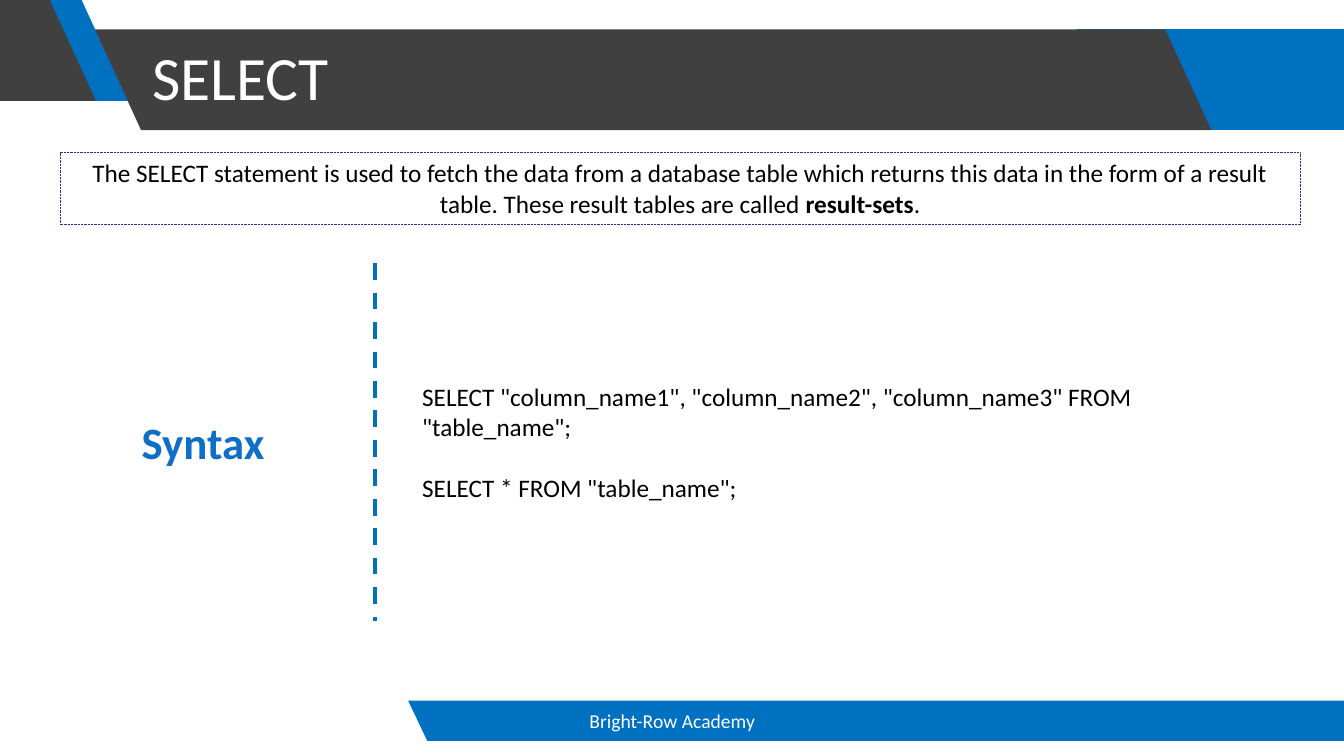
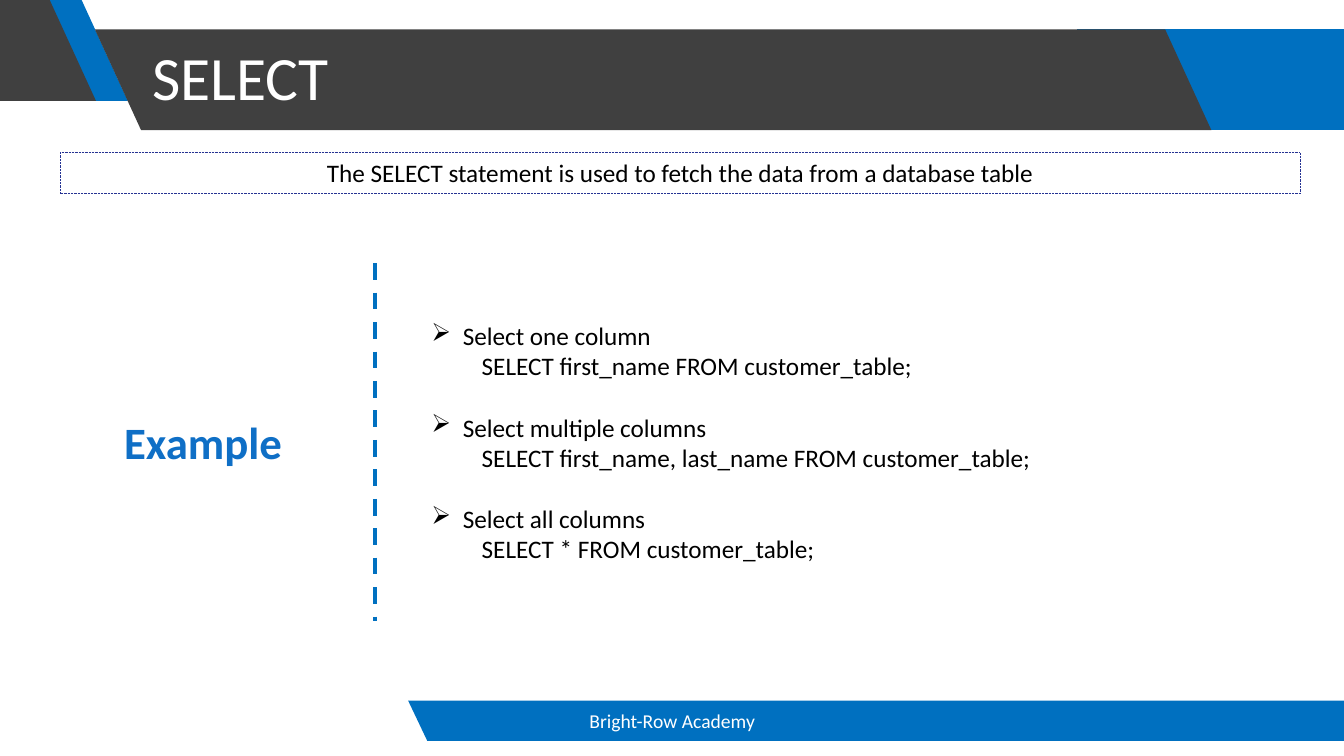
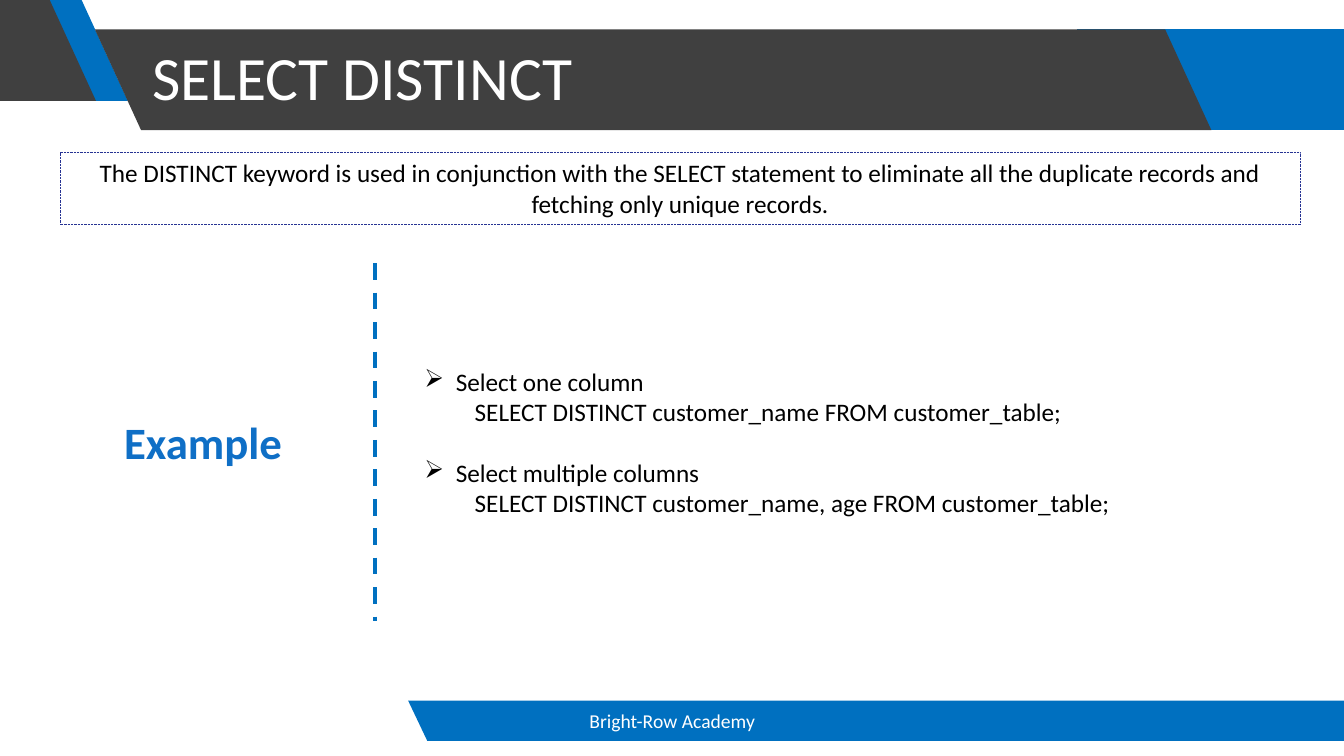
from dataclasses import dataclass

from lxml.etree import SubElement
from pptx import Presentation
from pptx.dml.color import RGBColor as RGB
from pptx.enum.dml import MSO_LINE as Dash
from pptx.enum.shapes import MSO_CONNECTOR as Connector, MSO_SHAPE as Preset
from pptx.enum.text import MSO_ANCHOR as Anchor, PP_ALIGN as Align
from pptx.oxml.ns import qn
from pptx.util import Pt


@dataclass(frozen=True)
class Theme:
    font: str = "Calibri"
    blue: RGB = RGB(0x00, 0x70, 0xC0)
    label_blue: RGB = RGB(0x0F, 0x6F, 0xC6)
    callout_line: RGB = RGB(0x26, 0x33, 0x93)
    dark: RGB = RGB(0x40, 0x40, 0x40)
    white: RGB = RGB(0xFF, 0xFF, 0xFF)
    black: RGB = RGB(0, 0, 0)
    title_size: int = 44
    label_size: int = 32
    body_size: int = 18
    footer_size: int = 14
    body_line: int = 22


THEME = Theme()
SLIDE_WIDTH, SLIDE_HEIGHT = 960, 540
HEADER_TOP, HEADER_HEIGHT, HEADER_SLANT = 21, 72, 33
FOOTER_TOP, FOOTER_HEIGHT, FOOTER_SLANT = 500.4, 28.8, 13.7
CONTENT_TOP, CONTENT_BOTTOM = 188, 443.5
DIVIDER_X = 267.8
BULLET_INDENT, CODE_INDENT = 22.5, 36


def style(paragraph, size, color, bold=False, align=Align.LEFT):
    paragraph.alignment = align
    for run in paragraph.runs:
        font = run.font
        font.name, font.size, font.bold = THEME.font, Pt(size), bold
        font.color.rgb = color


def add_band(slide, color, left, right, top, height, left_slant=0, right_slant=0):
    """Draw a band whose lower corners are moved right by the slants."""
    outline = slide.shapes.build_freeform(Pt(left), Pt(top))
    bottom = top + height
    corners = [(right, top), (right + right_slant, bottom), (left + left_slant, bottom)]
    outline.add_line_segments([(Pt(x), Pt(y)) for x, y in corners])
    band = outline.convert_to_shape()
    band.shadow.inherit = False
    band.fill.solid()
    band.fill.fore_color.rgb = color
    band.line.fill.background()


def add_text_frame(slide, left, top, width, height):
    box = slide.shapes.add_textbox(Pt(left), Pt(top), Pt(width), Pt(height))
    frame = box.text_frame
    frame.word_wrap = True
    frame.vertical_anchor = Anchor.MIDDLE
    return frame


def add_line_of_text(slide, text, place, size, color, bold=False, align=Align.CENTER):
    frame = add_text_frame(slide, *place)
    frame.text = text
    style(frame.paragraphs[0], size, color, bold, align)
    return frame.paragraphs[0]


def add_header(slide, title):
    slant = HEADER_SLANT
    add_band(slide, THEME.blue, 769, SLIDE_WIDTH, HEADER_TOP, HEADER_HEIGHT)
    add_band(slide, THEME.blue, 24.5, 58.3, 0, HEADER_HEIGHT, slant, slant)
    add_band(slide, THEME.dark, 0, 35.5, 0, HEADER_HEIGHT, 0, slant)
    add_band(slide, THEME.dark, 67.8, 832.3, HEADER_TOP, HEADER_HEIGHT, slant, slant)
    heading = add_line_of_text(slide, title, (101.5, 5, 730, 104.4),
                               THEME.title_size, THEME.white, align=Align.LEFT)
    heading.line_spacing = 0.9


def add_footer(slide):
    add_band(slide, THEME.blue, 291.5, SLIDE_WIDTH, FOOTER_TOP, FOOTER_HEIGHT, FOOTER_SLANT)
    add_line_of_text(slide, "Bright-Row Academy", (318.2, FOOTER_TOP, 324, FOOTER_HEIGHT),
                     THEME.footer_size, THEME.white)


def add_callout(slide, text, line_count):
    """Frame the definition; text between ** marks is bold."""
    height = line_count * THEME.body_line + 7.2
    callout = slide.shapes.add_shape(Preset.RECTANGLE, Pt(42.8), Pt(109.2), Pt(886), Pt(height))
    callout.shadow.inherit = False
    callout.fill.background()
    callout.line.color.rgb = THEME.callout_line
    callout.line.width = Pt(0.5)
    callout.line.dash_style = Dash.ROUND_DOT
    callout.text_frame.word_wrap = True
    callout.text_frame.vertical_anchor = Anchor.TOP
    definition = callout.text_frame.paragraphs[0]
    for piece in text.split("**"):
        definition.add_run().text = piece
    style(definition, THEME.body_size, THEME.black, align=Align.CENTER)
    for emphasised in definition.runs[1::2]:
        emphasised.font.bold = True


def add_divider(slide):
    divider = slide.shapes.add_connector(
        Connector.STRAIGHT, Pt(DIVIDER_X), Pt(CONTENT_TOP), Pt(DIVIDER_X), Pt(CONTENT_BOTTOM))
    divider.line.color.rgb = THEME.blue
    divider.line.width = Pt(3)
    divider.line.dash_style = Dash.DASH
    SubElement(divider._element.spPr, qn("a:effectLst"))


def indent(paragraph, margin, bullet=None):
    properties = paragraph._p.get_or_add_pPr()
    properties.set("marL", str(Pt(margin)))
    properties.set("indent", str(-Pt(margin) if bullet else 0))
    if bullet:
        SubElement(properties, qn("a:buChar")).set("char", bullet)


def add_body(slide, left, lines):
    frame = add_text_frame(slide, left, CONTENT_TOP, 594.7, CONTENT_BOTTOM - CONTENT_TOP)
    frame.text = "\n".join(lines)
    for paragraph in frame.paragraphs:
        style(paragraph, THEME.body_size, THEME.black)
    return frame.paragraphs


def add_statements(slide, left, statements):
    for paragraph in add_body(slide, left, statements)[1:]:
        paragraph.space_before = Pt(THEME.body_line)


def add_examples(slide, left, examples):
    """List (purpose, query) pairs, with the query indented under its purpose."""
    paragraphs = add_body(slide, left, [line for example in examples for line in example])
    purposes, queries = paragraphs[::2], paragraphs[1::2]
    for purpose in purposes[1:]:
        purpose.space_before = Pt(THEME.body_line)
    for purpose in purposes:
        indent(purpose, BULLET_INDENT, "➢")
    for query in queries:
        query.level = 1
        indent(query, CODE_INDENT)


def add_topic(deck, title, definition, definition_lines, label):
    """Add a slide with everything but the text right of the divider."""
    slide = deck.slides.add_slide(deck.slide_layouts[6])
    add_header(slide, title)
    add_footer(slide)
    add_callout(slide, definition, definition_lines)
    add_divider(slide)
    label_place = (22.3, CONTENT_TOP, 245.5, CONTENT_BOTTOM - CONTENT_TOP)
    add_line_of_text(slide, label, label_place, THEME.label_size, THEME.label_blue, bold=True)
    return slide


def main():
    deck = Presentation()
    deck.slide_width, deck.slide_height = Pt(SLIDE_WIDTH), Pt(SLIDE_HEIGHT)

    select_syntax = add_topic(
        deck, "SELECT",
        "The SELECT statement is used to fetch the data from a database table which returns "
        "this data in the form of a result table. These result tables are called "
        "**result-sets**.", 2, "Syntax")
    add_statements(select_syntax, 294.5, [
        'SELECT "column_name1", "column_name2", "column_name3" FROM "table_name";',
        'SELECT * FROM "table_name";',
    ])

    select_example = add_topic(
        deck, "SELECT",
        "The SELECT statement is used to fetch the data from a database table", 1, "Example")
    add_examples(select_example, 301, [
        ("Select one column", "SELECT first_name FROM customer_table;"),
        ("Select multiple columns", "SELECT first_name, last_name FROM customer_table;"),
        ("Select all columns", "SELECT * FROM customer_table;"),
    ])

    distinct_example = add_topic(
        deck, "SELECT DISTINCT",
        "The DISTINCT keyword is used in conjunction with the SELECT statement to eliminate "
        "all the duplicate records and fetching only unique records.", 2, "Example")
    add_examples(distinct_example, 296, [
        ("Select one column", "SELECT DISTINCT customer_name FROM customer_table;"),
        ("Select multiple columns", "SELECT DISTINCT customer_name, age FROM customer_table;"),
    ])

    deck.save("out.pptx")


if __name__ == "__main__":
    main()
